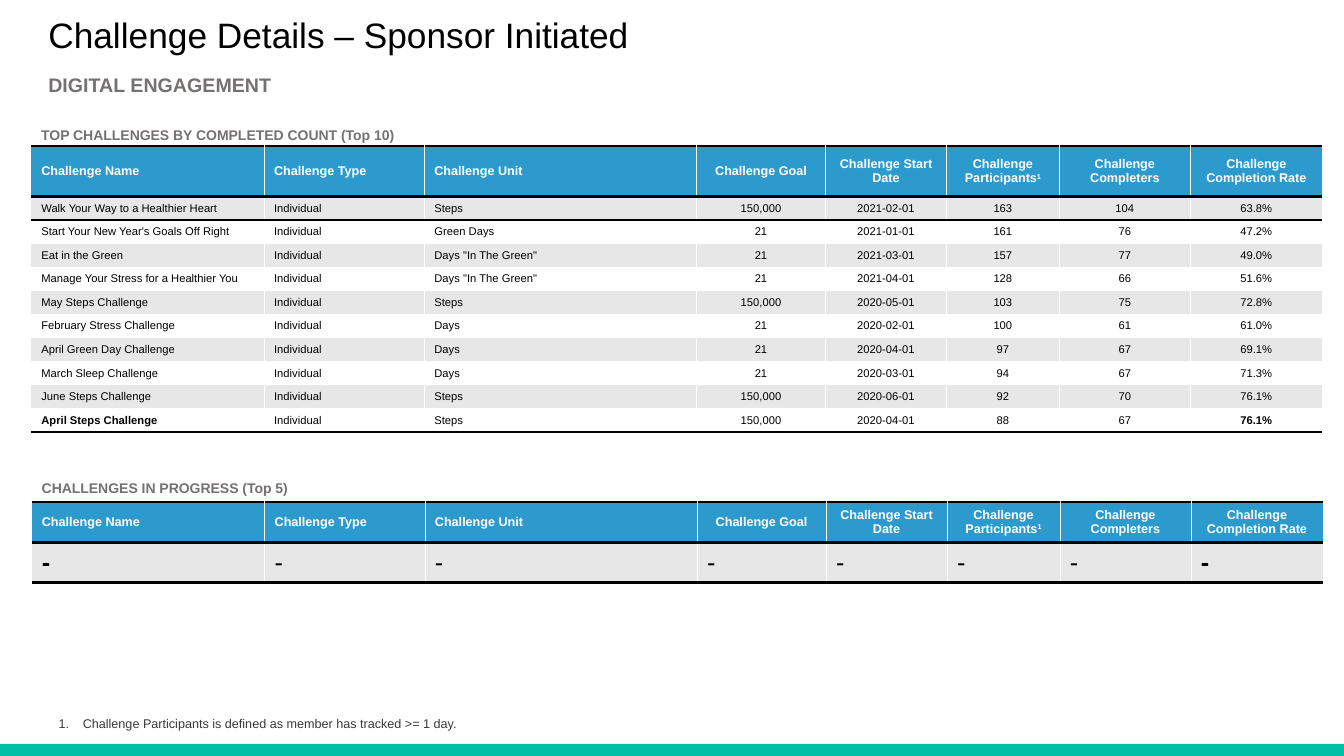
from lxml import etree
from pptx import Presentation
from pptx import util as u
from pptx.dml.color import RGBColor
from pptx.enum import shapes, text
from pptx.oxml import ns

Pt = u.Pt
FONT = "Arial"
COLORS = {"black": "000000", "white": "FFFFFF", "header": "2C9ACC", "band": "E7E7E7",
          "heading": "767171", "note": "3B3838", "footer": "00BFA5"}
NO_STYLE = "{2D5ABB26-0587-4C30-8999-92F81FD0307C}"

SLIDE_W, SLIDE_H = 960, 540
COLUMN_WIDTHS = [166.3, 114.5, 194.4, 92.2, 86.4, 80.6, 93.6, 94.3]
LEFT_COLUMNS = 3
HEADERS = ["Challenge Name", "Challenge Type", "Challenge Unit", "Challenge Goal",
           "Challenge Start Date", "Challenge Participants", "Challenge Completers",
           "Challenge Completion Rate"]
FOOTNOTED = "Challenge Participants"

TOP_CHALLENGES = [
    ["Walk Your Way to a Healthier Heart", "Individual", "Steps", "150,000", "2021-02-01", "163", "104", "63.8%"],
    ["Start Your New Year's Goals Off Right", "Individual", "Green Days", "21", "2021-01-01", "161", "76", "47.2%"],
    ["Eat in the Green", "Individual", 'Days "In The Green"', "21", "2021-03-01", "157", "77", "49.0%"],
    ["Manage Your Stress for a Healthier You", "Individual", 'Days "In The Green"', "21", "2021-04-01", "128", "66", "51.6%"],
    ["May Steps Challenge", "Individual", "Steps", "150,000", "2020-05-01", "103", "75", "72.8%"],
    ["February Stress Challenge", "Individual", "Days", "21", "2020-02-01", "100", "61", "61.0%"],
    ["April Green Day Challenge", "Individual", "Days", "21", "2020-04-01", "97", "67", "69.1%"],
    ["March Sleep Challenge", "Individual", "Days", "21", "2020-03-01", "94", "67", "71.3%"],
    ["June Steps Challenge", "Individual", "Steps", "150,000", "2020-06-01", "92", "70", "76.1%"],
    ["April Steps Challenge", "Individual", "Steps", "150,000", "2020-04-01", "88", "67", "76.1%"],
]
IN_PROGRESS = [["-"] * len(HEADERS)]


def color(name):
    return RGBColor.from_string(COLORS[name])


def add_run(paragraph, words, size, ink, bold=False):
    run = paragraph.add_run()
    run.text = words
    run.font.name = FONT
    run.font.size = Pt(size)
    run.font.bold = bold
    run.font.color.rgb = color(ink)
    return run


def add_line_of_text(slide, box, words, size, ink, bold=False, spacing=None,
                     anchor=text.MSO_ANCHOR.TOP, inset=None):
    frame = slide.shapes.add_textbox(*map(Pt, box)).text_frame
    frame.word_wrap = True
    frame.vertical_anchor = anchor
    if inset is not None:
        frame.margin_left = frame.margin_right = Pt(inset)
        frame.margin_top = frame.margin_bottom = Pt(inset)
    paragraph = frame.paragraphs[0]
    paragraph.line_spacing = spacing
    add_run(paragraph, words, size, ink, bold)
    return paragraph


def add_border(cell, side, ink, width):
    line = etree.SubElement(cell._tc.get_or_add_tcPr(), ns.qn("a:ln" + side), w=str(Pt(width)))
    fill = etree.SubElement(line, ns.qn("a:solidFill"))
    etree.SubElement(fill, ns.qn("a:srgbClr"), val=COLORS[ink])


def dress_cell(cell, row, column, last_row):
    """Borders first, then the fill, in the order the file format asks for."""
    if column > 0:
        add_border(cell, "L", "white", 0.5)
    if column < len(HEADERS) - 1:
        add_border(cell, "R", "white", 0.5)
    if row <= 1:
        add_border(cell, "T", "black", 2)
    if row in (0, last_row):
        add_border(cell, "B", "black", 2)
    cell.fill.solid()
    cell.fill.fore_color.rgb = color("header" if row == 0 else "band" if row % 2 else "white")
    cell.vertical_anchor = text.MSO_ANCHOR.MIDDLE


def add_challenge_table(slide, box, caption, challenges, header_h, row_h, size, center_values=True):
    left, top, width, caption_h = box
    table_top = top + caption_h
    last_row = len(challenges)
    frame = slide.shapes.add_table(last_row + 1, len(HEADERS), Pt(left), Pt(table_top),
                                   Pt(width), Pt(header_h + row_h * last_row))
    table = frame.table
    table._tbl.tblPr.find(ns.qn("a:tableStyleId")).text = NO_STYLE
    for column, column_w in zip(table.columns, COLUMN_WIDTHS):
        column.width = Pt(column_w)

    for r, values in enumerate([HEADERS] + challenges):
        table.rows[r].height = Pt(row_h if r else header_h)
        for c, value in enumerate(values):
            cell = table.cell(r, c)
            dress_cell(cell, r, c, last_row)
            paragraph = cell.text_frame.paragraphs[0]
            if c >= LEFT_COLUMNS and (r == 0 or center_values):
                paragraph.alignment = text.PP_ALIGN.CENTER
            if r == 0:
                add_run(paragraph, value, 9, "white", True)
                if value == FOOTNOTED:
                    mark = add_run(paragraph, "1", 9, "white", True)
                    mark._r.get_or_add_rPr().set("baseline", "30000")
            else:
                edge_of_last = r == last_row and c in (0, len(HEADERS) - 1)
                add_run(paragraph, value, size, "black", edge_of_last)

    # Caption over the table
    add_line_of_text(slide, (left, top, 905.8, 19.4), caption, 10, "heading", True)


def add_heading(slide, box):
    left, top, width, height = box
    add_line_of_text(slide, (left, top, width, height), "Challenge Details – Sponsor Initiated",
                     25.2, "black", spacing=0.9, anchor=text.MSO_ANCHOR.MIDDLE)
    add_line_of_text(slide, (left, top + 38.9, 313.9, 20.2), "DIGITAL ENGAGEMENT",
                     14, "heading", True, spacing=0.9)


def add_footnote(slide, box):
    note = add_line_of_text(slide, box,
                            "Challenge Participants is defined as member has tracked >= 1 day.",
                            9, "note", anchor=text.MSO_ANCHOR.MIDDLE, inset=4.3)
    properties = note._p.get_or_add_pPr()
    properties.set("marL", str(Pt(27.4)))
    properties.set("indent", str(Pt(-17.3)))
    etree.SubElement(properties, ns.qn("a:buFont"), typeface=FONT)
    etree.SubElement(properties, ns.qn("a:buAutoNum"), type="arabicPeriod")


def add_footer_bar(slide, box):
    bar = slide.shapes.add_shape(shapes.MSO_SHAPE.RECTANGLE, *map(Pt, box))
    bar.shadow.inherit = False
    bar.fill.solid()
    bar.fill.fore_color.rgb = color("footer")
    bar.line.fill.background()


def main():
    deck = Presentation()
    deck.slide_width, deck.slide_height = Pt(SLIDE_W), Pt(SLIDE_H)
    slide = deck.slides.add_slide(deck.slide_layouts[6])
    table_w = sum(COLUMN_WIDTHS)

    add_footer_bar(slide, (0, 531.4, SLIDE_W, 8.6))
    add_heading(slide, (27.4, 11.5, 905.8, 29.5))
    add_challenge_table(slide, (22.3, 87.1, table_w, 17.3), "TOP CHALLENGES BY COMPLETED COUNT (Top 10)",
                        TOP_CHALLENGES, header_h=36, row_h=16.2, size=8)
    add_challenge_table(slide, (22.7, 339.1, table_w, 19.4), "CHALLENGES IN PROGRESS (Top 5)",
                        IN_PROGRESS, header_h=27.9, row_h=27.9, size=18, center_values=False)
    add_footnote(slide, (27.4, 507.6, 481, 18.7))
    deck.save("out.pptx")


if __name__ == "__main__":
    main()
